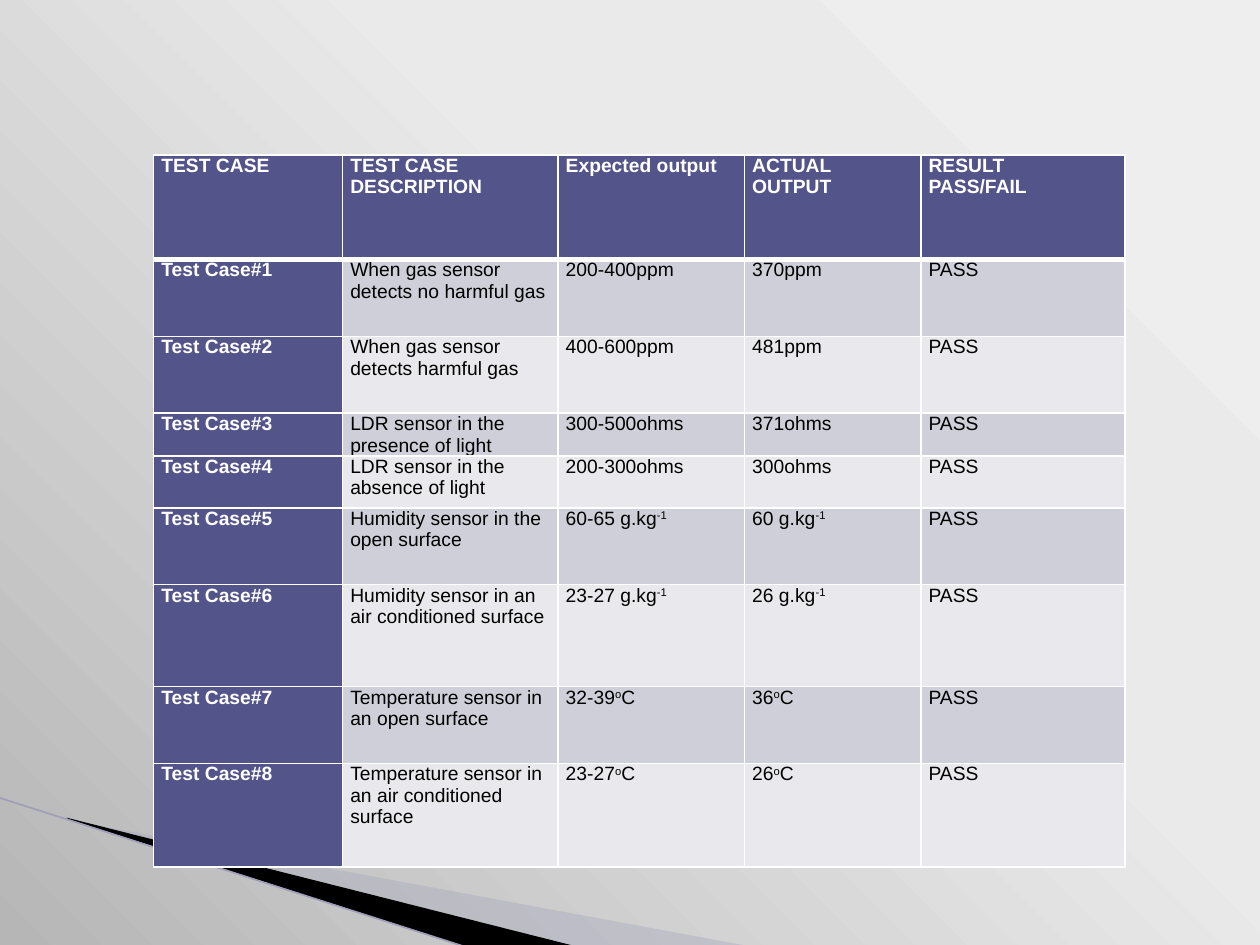
from lxml.etree import SubElement
from pptx import Presentation
from pptx.dml.color import RGBColor
from pptx.enum.shapes import MSO_CONNECTOR
from pptx.oxml import parse_xml
from pptx.oxml.ns import nsdecls, qn
from pptx.util import Inches, Pt

COLS = [1.5, 1.71, 1.48, 1.4, 1.62]
ROWS = [0.83, 0.61, 0.61, 0.34, 0.41, 0.61, 0.81, 0.61, 0.82]
HEAD = ["TEST CASE", "TEST CASE DESCRIPTION", "Expected output",
        "ACTUAL\nOUTPUT", "RESULT\nPASS/FAIL"]
CASES = [
    ("When gas sensor detects no harmful gas", "200-400ppm", "370ppm"),
    ("When gas sensor detects harmful gas", "400-600ppm", "481ppm"),
    ("LDR sensor in the presence of light", "300-500ohms", "371ohms"),
    ("LDR sensor in the absence of light", "200-300ohms", "300ohms"),
    ("Humidity sensor in the  open surface", "60-65 g.kg^-1", "60 g.kg^-1"),
    ("Humidity sensor in an air conditioned surface", "23-27 g.kg^-1", "26 g.kg^-1"),
    ("Temperature sensor in an open surface", "32-39^o^C", "36^o^C"),
    ("Temperature sensor in an air conditioned surface", "23-27^o^C", "26^o^C"),
]


def color(code):
    """Turn a hex string into a colour."""
    return RGBColor.from_string(code)


def backdrop(slide):
    """Fill the background with a gradient spreading from the top right."""
    fill = slide.background.fill
    fill.solid()
    stops = "".join(
        f'<a:gs pos="{pos * 1000}"><a:srgbClr val="{code}"/></a:gs>'
        for pos, code in [(0, "EEEEEE"), (40, "EAEAEA"), (100, "B6B6B6")])
    grad = parse_xml(
        f'<a:gradFill {nsdecls("a")} rotWithShape="1"><a:gsLst>{stops}</a:gsLst>'
        '<a:path path="circle"><a:fillToRect l="100000" b="100000"/></a:path>'
        '</a:gradFill>')
    solid = slide.background._cSld.find(".//" + qn("a:solidFill"))
    solid.getparent().replace(solid, grad)


def reframe(shape, box):
    """Give an outline another frame while its points stay in place."""
    left, top, width, height = [Inches(n) for n in box]
    trail = shape._element.find(".//" + qn("a:path"))
    for point in trail.iter(qn("a:pt")):
        point.set("x", str(int(point.get("x")) + shape.left - left))
        point.set("y", str(int(point.get("y")) + shape.top - top))
    trail.set("w", str(width))
    trail.set("h", str(height))
    shape.left, shape.top, shape.width, shape.height = left, top, width, height


def blade(slide, points, box, code, alpha=100):
    """Draw a closed outline with a plain, perhaps see-through, fill."""
    start, *rest = [(Inches(x), Inches(y)) for x, y in points]
    pen = slide.shapes.build_freeform(*start)
    pen.add_line_segments(rest, close=True)
    shape = pen.convert_to_shape()
    reframe(shape, box)
    shape.shadow.inherit = False
    shape.line.fill.background()
    shape.fill.solid()
    shape.fill.fore_color.rgb = color(code)
    if alpha < 100:
        tint = shape.fill._xPr.find(".//" + qn("a:srgbClr"))
        SubElement(tint, qn("a:alpha")).set("val", str(alpha * 1000))


def stroke(slide, start, end, code, width):
    """Draw a straight line without a shadow."""
    ends = [Inches(n) for n in (*start, *end)]
    line = slide.shapes.add_connector(MSO_CONNECTOR.STRAIGHT, *ends)
    line.line.color.rgb = color(code)
    line.line.width = Pt(width)
    SubElement(line._element.spPr, qn("a:effectLst"))


def write(frame, text, size=11, font="Arial", code="000000", bold=False):
    """Write lines of text, where ^ switches superscript on and off."""
    for row, line in enumerate(text.split("\n")):
        para = frame.add_paragraph() if row else frame.paragraphs[0]
        for part, piece in enumerate(line.split("^")):
            run = para.add_run()
            run.text = piece
            run.font.size = Pt(size)
            run.font.name = font
            run.font.bold = bold
            run.font.color.rgb = color(code)
            if part % 2:
                run._r.get_or_add_rPr().set("baseline", "30000")


def border(cell, **widths):
    """Set white cell borders, with widths in points by side."""
    for side in "LRTB":
        cell._tc.get_or_add_tcPr().append(parse_xml(
            f'<a:ln{side} {nsdecls("a")} w="{Pt(widths.get(side, 1))}">'
            f'<a:solidFill><a:srgbClr val="FFFFFF"/></a:solidFill></a:ln{side}>'))


def grid(slide, left, top):
    """Build the table of test cases."""
    data = [HEAD] + [(f"Test Case#{num}", *case, "PASS")
                     for num, case in enumerate(CASES, 1)]
    table = slide.shapes.add_table(
        len(ROWS), len(COLS), Inches(left), Inches(top),
        Inches(sum(COLS)), Inches(sum(ROWS))).table
    for col, width in zip(table.columns, COLS):
        col.width = Inches(width)
    for row, height in zip(table.rows, ROWS):
        row.height = Inches(height)
    for r, texts in enumerate(data):
        for c, text in enumerate(texts):
            cell = table.cell(r, c)
            label = r == 0 or c == 0
            cell.margin_left = cell.margin_right = Inches(0.06)
            cell.margin_top = cell.margin_bottom = 0
            border(cell, T=3 if r == 1 else 1, B=3 if r == 0 else 1)
            cell.fill.solid()
            band = "CFCFD9" if r % 2 else "E9E9ED"
            cell.fill.fore_color.rgb = color("53548A" if label else band)
            write(cell.text_frame, text, bold=label,
                  code="FFFFFF" if label else "000000")


def main():
    """Build and save the slide."""
    deck = Presentation()
    deck.slide_width, deck.slide_height = Inches(10), Inches(7.5)
    slide = deck.slides.add_slide(deck.slide_layouts[6])
    backdrop(slide)
    blade(slide, [(0.55, 6.51), (5.95, 7.51), (4.56, 7.51), (0.55, 6.5)],
          (0.78, 5.47, 4.16, 1.58), "A7A7BE", alpha=40)
    blade(slide, [(0.53, 6.49), (4.57, 7.51), (3.72, 7.52), (0.54, 6.5)],
          (-0.06, 6.33, 4.16, 0.92), "000000")
    stroke(slide, (-0.01, 6.33), (3.71, 7.52), "9E9EB8", 0.95)
    grid(slide, 1.22, 1.23)
    deck.save("out.pptx")


if __name__ == "__main__":
    main()
